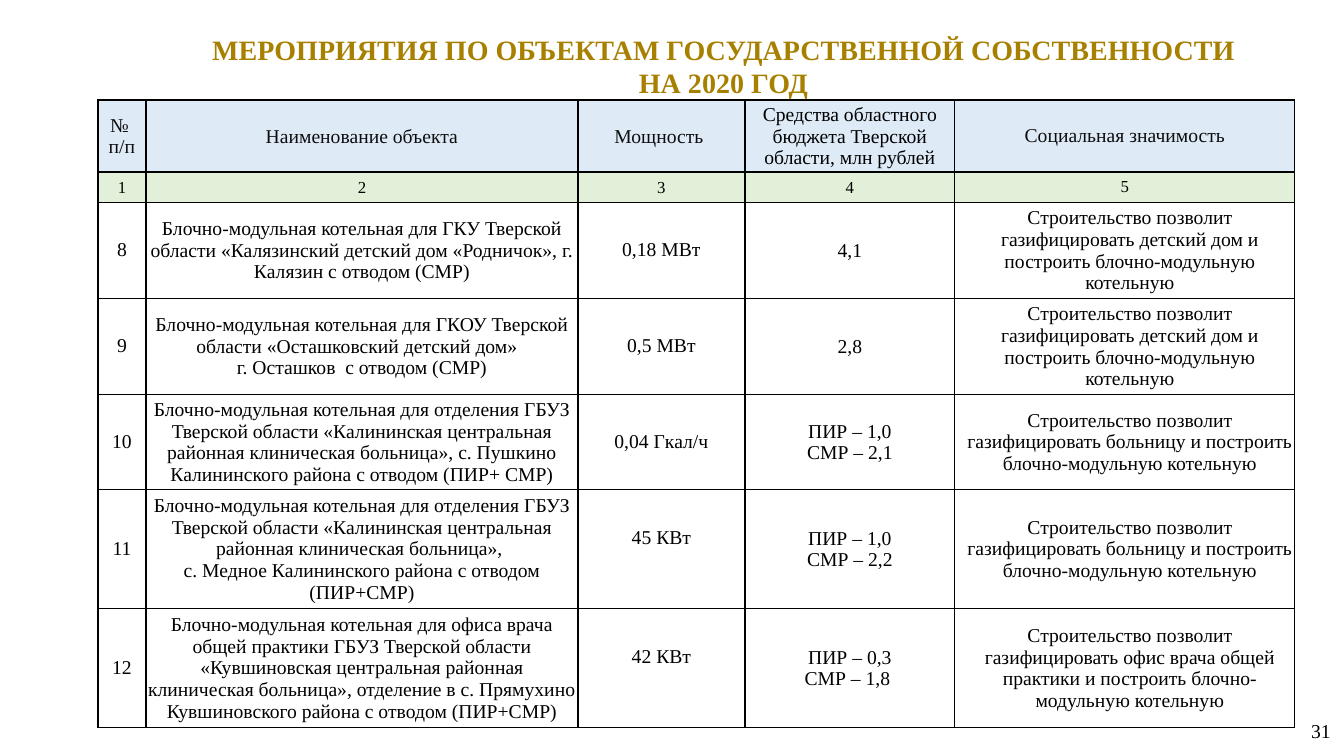
from lxml.etree import SubElement
from pptx import Presentation
from pptx.dml.color import RGBColor
from pptx.enum.text import MSO_ANCHOR, MSO_AUTO_SIZE, PP_ALIGN
from pptx.oxml.ns import qn
from pptx.util import Emu, Pt

# Content
TITLE = "МЕРОПРИЯТИЯ ПО ОБЪЕКТАМ ГОСУДАРСТВЕННОЙ СОБСТВЕННОСТИ\nНА 2020 ГОД"
PAGE_NUMBER = "31"
HEADINGS = ["№ \nп/п", "Наименование объекта", "Мощность ",
            "Средства областного бюджета Тверской области, млн рублей",
            "Социальная значимость"]
COLUMN_NUMBERS = ["1", "2", "3", "4", "5"]
ORPHANAGE = ("Строительство позволит газифицировать детский дом "
             "и построить блочно-модульную котельную")
HOSPITAL = ("Строительство позволит газифицировать больницу "
            "и построить блочно-модульную котельную")
DOCTOR = ("Строительство позволит газифицировать офис врача общей практики "
          "и построить блочно-модульную котельную")
OBJECTS = [
    ["8", "Блочно-модульная котельная для ГКУ Тверской области «Калязинский детский дом "
          "«Родничок», г. Калязин с отводом (СМР)", "0,18 МВт", "4,1", ORPHANAGE],
    ["9", "Блочно-модульная котельная для ГКОУ Тверской области «Осташковский детский дом»  \n"
          "г. Осташков  с отводом (СМР)", "0,5 МВт", "2,8", ORPHANAGE],
    ["10", "Блочно-модульная котельная для отделения ГБУЗ Тверской области «Калининская "
           "центральная районная клиническая больница», с. Пушкино Калининского района "
           "с отводом (ПИР+ СМР)", "0,04 Гкал/ч", "ПИР – 1,0\nСМР – 2,1", HOSPITAL],
    ["11", "Блочно-модульная котельная для отделения ГБУЗ Тверской области «Калининская "
           "центральная районная клиническая больница», \n"
           "с. Медное Калининского района с отводом (ПИР+СМР)",
     "45 КВт", "ПИР – 1,0\nСМР – 2,2", HOSPITAL],
    ["12", "Блочно-модульная котельная для офиса врача общей практики ГБУЗ Тверской области "
           "«Кувшиновская центральная районная клиническая больница», отделение "
           "в с. Прямухино Кувшиновского района с отводом (ПИР+СМР)",
     "42 КВт", "ПИР – 0,3\nСМР – 1,8 ", DOCTOR],
]
RAISED = {"45 КВт", "42 КВт"}  # set half a line above the middle

# Layout in px
SLIDE_SIZE = (1344, 756)
TITLE_BOX = (125, 25, 1197, 67)
NUMBER_BOX = (1295, 714, 52, 34)
TABLE_AT = (98, 100)
COLUMN_WIDTHS = [48, 432, 167, 210, 340]
ROW_HEIGHTS = [72, 30, 96, 96, 95, 119, 119]
LINE_HEIGHT = 22
ROOMY = (10, 5, 10, 5)
TIGHT = (1, 1, 1, 0)
INDENTED = (11, 1, 1, 0)
HEAD_MARGINS = [TIGHT] * 4 + [ROOMY]
BODY_MARGINS = [ROOMY, TIGHT, ROOMY, TIGHT, INDENTED]

FONT = "Times New Roman"
GOLD, BLACK, INK = "A88000", "000000", "0D0D0D"
BLUE, GREEN, WHITE = "DEEBF7", "E2F0D9", "FFFFFF"


def px(length):
    return Emu(round(length * 914400 / 100.8))


def rgb(color):
    return RGBColor.from_string(color)


def write(frame, text, size=14, color=BLACK, bold=False):
    frame.word_wrap = True
    frame.text = text
    for paragraph in frame.paragraphs:
        paragraph.alignment = PP_ALIGN.CENTER
        font = paragraph.font
        font.name, font.size, font.bold = FONT, Pt(size), bold
        font.color.rgb = rgb(color)


def place(shape, box):
    shape.left, shape.top, shape.width, shape.height = map(px, box)


def set_margins(target, margins):
    (target.margin_left, target.margin_top,
     target.margin_right, target.margin_bottom) = map(px, margins)


def add_borders(cell):
    properties = cell._tc.get_or_add_tcPr()
    for side in ("lnL", "lnR", "lnT", "lnB"):
        line = SubElement(properties, qn(f"a:{side}"), w=str(Pt(1)))
        fill = SubElement(line, qn("a:solidFill"))
        SubElement(fill, qn("a:srgbClr"), val=BLACK)


def main():
    presentation = Presentation()
    presentation.slide_width, presentation.slide_height = map(px, SLIDE_SIZE)
    slide = presentation.slides.add_slide(presentation.slide_layouts[5])

    # Title
    title = slide.shapes.title
    place(title, TITLE_BOX)
    write(title.text_frame, TITLE, size=20, color=GOLD, bold=True)
    title.text_frame.auto_size = MSO_AUTO_SIZE.NONE
    title.text_frame.vertical_anchor = MSO_ANCHOR.TOP
    set_margins(title.text_frame, (13, 7, 13, 7))

    # Page number
    number = slide.shapes.add_textbox(*map(px, NUMBER_BOX))
    write(number.text_frame, PAGE_NUMBER)
    number.text_frame.vertical_anchor = MSO_ANCHOR.MIDDLE

    # Table
    rows = [HEADINGS, COLUMN_NUMBERS] + OBJECTS
    size = (sum(COLUMN_WIDTHS), sum(ROW_HEIGHTS))
    table = slide.shapes.add_table(len(rows), len(HEADINGS),
                                   *map(px, TABLE_AT + size)).table
    table.first_row = table.horz_banding = False
    for column, width in zip(table.columns, COLUMN_WIDTHS):
        column.width = px(width)
    for row, height in zip(table.rows, ROW_HEIGHTS):
        row.height = px(height)

    # Cells
    for r, texts in enumerate(rows):
        fill = (BLUE, GREEN)[r] if r < 2 else WHITE
        for c, text in enumerate(texts):
            cell = table.cell(r, c)
            left, top, right, bottom = (HEAD_MARGINS if r < 2 else BODY_MARGINS)[c]
            if text in RAISED:
                bottom += LINE_HEIGHT
            set_margins(cell, (left, top, right, bottom))
            cell.vertical_anchor = MSO_ANCHOR.MIDDLE
            add_borders(cell)
            cell.fill.solid()
            cell.fill.fore_color.rgb = rgb(fill)
            write(cell.text_frame, text, size=12 if r == 1 else 14,
                  color=INK if r == 0 and c != 3 else BLACK)

    presentation.save("out.pptx")


if __name__ == "__main__":
    main()
